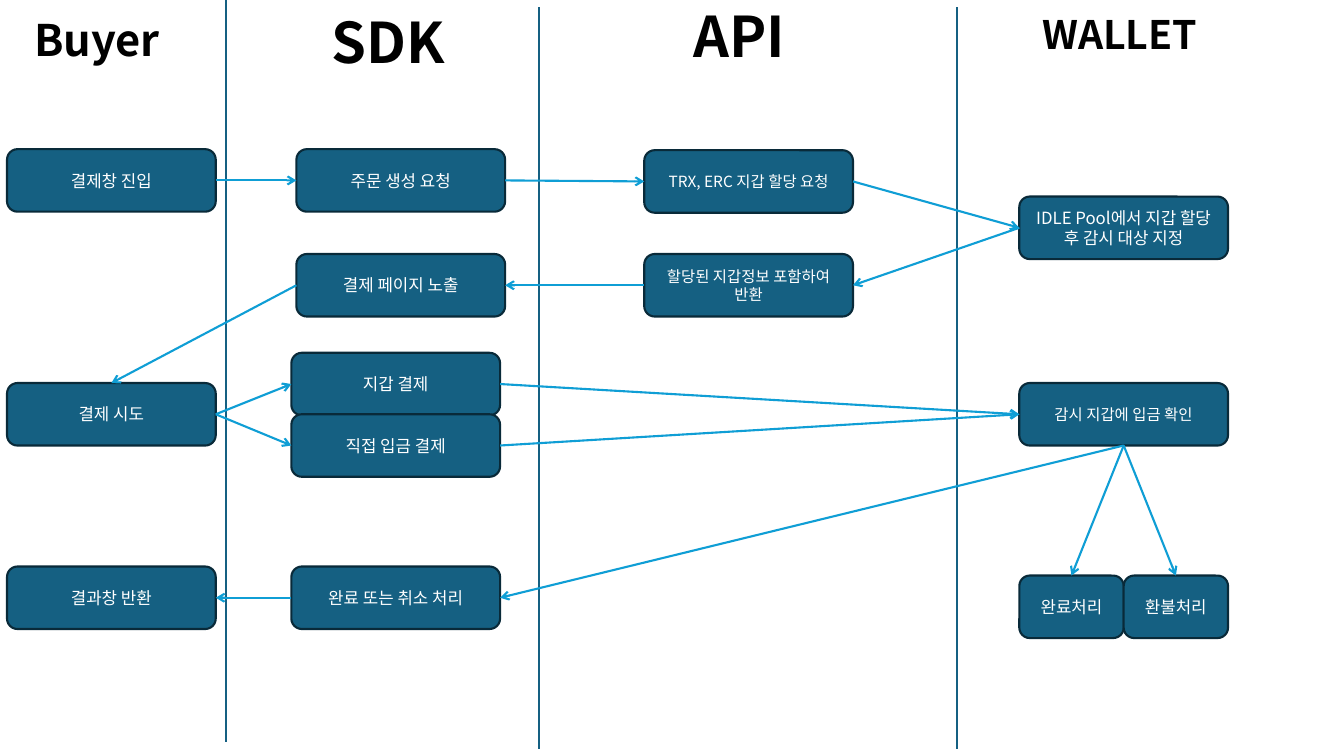
from lxml import etree
from pptx import Presentation
from pptx.dml.color import RGBColor
from pptx.enum.shapes import MSO_CONNECTOR, MSO_SHAPE
from pptx.enum.text import MSO_ANCHOR, PP_ALIGN
from pptx.oxml.ns import qn
from pptx.util import Inches, Pt

STRAIGHT = MSO_CONNECTOR.STRAIGHT
ROUNDED = MSO_SHAPE.ROUNDED_RECTANGLE
MIDDLE = MSO_ANCHOR.MIDDLE
LEFT_ALIGN, CENTER = PP_ALIGN.LEFT, PP_ALIGN.CENTER
TOP, LEFT, BOTTOM, RIGHT = range(4)  # connection sites of a rounded rectangle

FONT = "Noto Sans CJK KR"
COLORS = {"box": "156082", "edge": "092A39", "arrow": "0F9ED5",
          "title": "000000", "label": "FFFFFF"}
BOX_W, BOX_H = 2.07, 0.62
HALF_W = BOX_W / 2

# title, left, top, width, size, line spacing
LANES = [
    ("Buyer", 0.24, 0.06, 1.46, 31, 0.7),
    ("SDK", 3.19, 0.06, 1.46, 40, 0.9),
    ("API", 6.78, 0, 1.46, 40, 0.9),
    ("WALLET", 10.24, 0, 1.8, 28, 0.7),
]
DIVIDERS = [(2.24, 0), (5.35, 0.07), (9.49, 0.07)]  # x, top
DIVIDER_H = 7.36

# key: text, left, top, width, size
STEPS = {
    "enter": ("결제창 진입", 0.07, 1.48, BOX_W, 12),
    "try": ("결제 시도", 0.07, 3.8, BOX_W, 12),
    "result": ("결과창 반환", 0.07, 5.62, BOX_W, 12),
    "order": ("주문 생성 요청", 2.94, 1.48, BOX_W, 12),
    "page": ("결제 페이지 노출", 2.94, 2.52, BOX_W, 12),
    "wallet_pay": ("지갑 결제", 2.89, 3.5, BOX_W, 12),
    "direct_pay": ("직접 입금 결제", 2.89, 4.11, BOX_W, 12),
    "finish": ("완료 또는 취소 처리", 2.89, 5.62, BOX_W, 12),
    "assign": ("TRX, ERC 지갑 할당 요청", 6.39, 1.49, BOX_W, 11),
    "return": ("할당된 지갑정보 포함하여 반환", 6.39, 2.52, BOX_W, 11),
    "idle": ("IDLE Pool에서 지갑 할당 후 감시 대상 지정", 10.11, 1.95, BOX_W, 12),
    "confirm": ("감시 지갑에 입금 확인", 10.11, 3.8, BOX_W, 11),
    "done": ("완료처리", 10.11, 5.71, HALF_W, 12),
    "refund": ("환불처리", 10.11 + HALF_W, 5.71, HALF_W, 12),
}
FLOWS = [
    ("enter", RIGHT, "order", LEFT),
    ("order", RIGHT, "assign", LEFT),
    ("assign", RIGHT, "idle", LEFT),
    ("idle", LEFT, "return", RIGHT),
    ("return", LEFT, "page", RIGHT),
    ("page", LEFT, "try", TOP),
    ("try", RIGHT, "wallet_pay", LEFT),
    ("try", RIGHT, "direct_pay", LEFT),
    ("wallet_pay", RIGHT, "confirm", LEFT),
    ("direct_pay", RIGHT, "confirm", LEFT),
    ("confirm", BOTTOM, "done", TOP),
    ("confirm", BOTTOM, "refund", TOP),
    ("confirm", BOTTOM, "finish", RIGHT),
    ("finish", LEFT, "result", RIGHT),
]


def rgb(name):
    return RGBColor.from_string(COLORS[name])


def write(sp, text, size, color, align, bold=False, spacing=None):
    """Put one paragraph, vertically centred, into a shape."""
    tf = sp.text_frame
    tf.word_wrap = True
    tf.vertical_anchor = MIDDLE
    p = tf.paragraphs[0]
    p.text = text
    p.alignment = align
    p.line_spacing = spacing
    p.font.size = Pt(size)
    p.font.bold = bold
    p.font.color.rgb = rgb(color)
    p.font.name = FONT
    # Hangul takes its typeface from the East Asian font
    props = p._p.pPr.find(qn("a:defRPr"))
    etree.SubElement(props, qn("a:ea"), typeface=FONT)


def add_line(slide, color, start=(0, 0), end=(0, 0)):
    line = slide.shapes.add_connector(
        STRAIGHT, *(Inches(v) for v in (*start, *end)))
    line.line.color.rgb = rgb(color)
    line.line.width = Pt(1.5)
    etree.SubElement(line._element.spPr, qn("a:effectLst"))
    return line


def add_lane_title(slide, text, left, top, width, size, spacing):
    sp = slide.shapes.add_textbox(
        Inches(left), Inches(top), Inches(width), Inches(0.78))
    write(sp, text, size, "title", LEFT_ALIGN, True, spacing)


def add_step(slide, text, left, top, width, size):
    sp = slide.shapes.add_shape(
        ROUNDED, Inches(left), Inches(top), Inches(width), Inches(BOX_H))
    sp.shadow.inherit = False
    sp.fill.solid()
    sp.fill.fore_color.rgb = rgb("box")
    sp.line.color.rgb = rgb("edge")
    sp.line.width = Pt(1.5)
    write(sp, text, size, "label", CENTER)
    return sp


def add_flow(slide, source, source_site, target, target_site):
    """Join two steps with an arrow glued to their sides."""
    arrow = add_line(slide, "arrow")
    arrow.begin_connect(source, source_site)
    arrow.end_connect(target, target_site)
    etree.SubElement(arrow.line._get_or_add_ln(), qn("a:tailEnd"), type="arrow")


def build_swimlane(slide):
    for lane in LANES:
        add_lane_title(slide, *lane)
    for x, top in DIVIDERS:
        add_line(slide, "box", (x, top), (x, top + DIVIDER_H))
    steps = {key: add_step(slide, *step) for key, step in STEPS.items()}
    for source, source_site, target, target_site in FLOWS:
        add_flow(slide, steps[source], source_site, steps[target], target_site)


def main():
    prs = Presentation()
    prs.slide_width, prs.slide_height = Inches(13.33), Inches(7.5)
    build_swimlane(prs.slides.add_slide(prs.slide_layouts[6]))
    prs.save("out.pptx")


if __name__ == "__main__":
    main()
